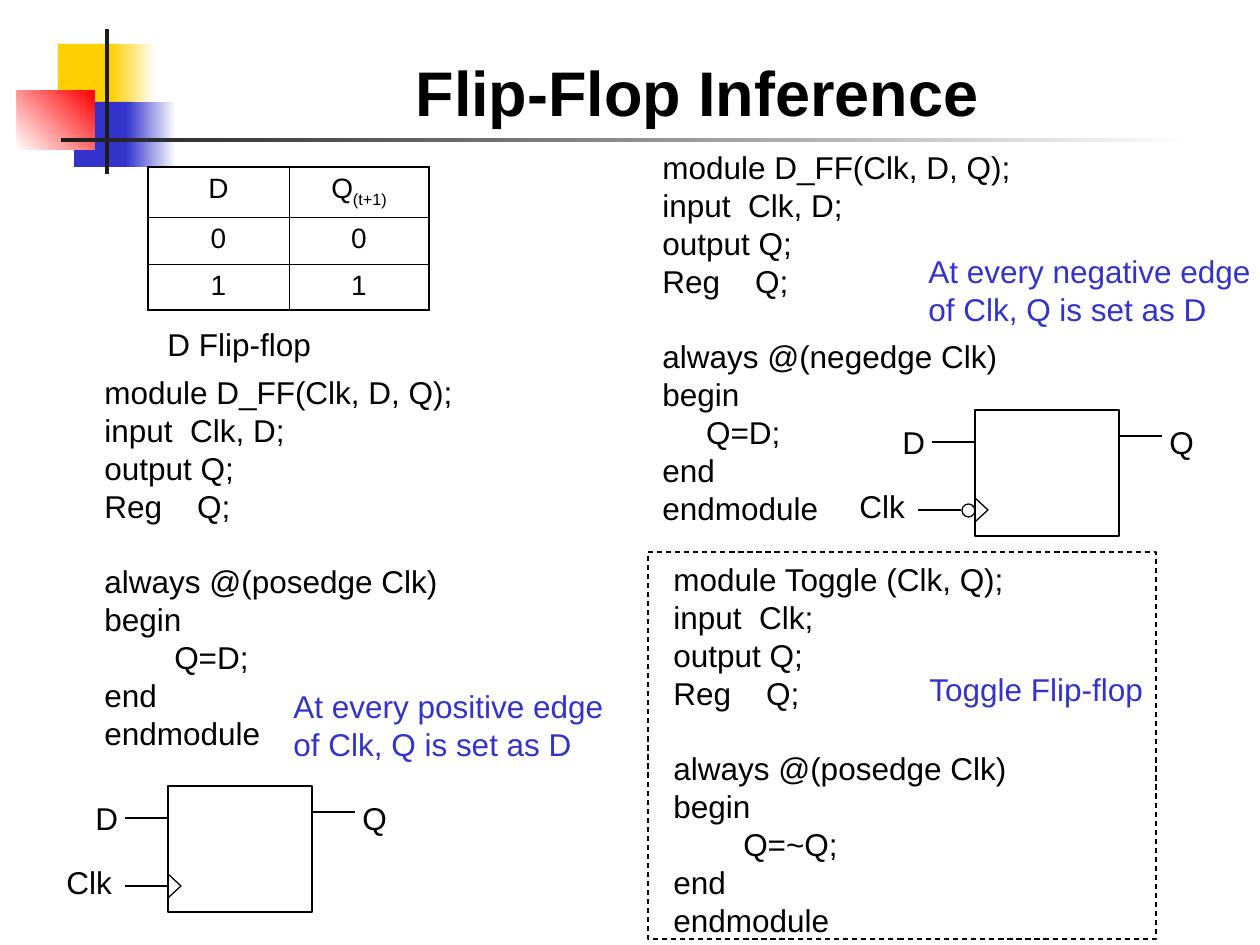
"""Build the Flip-Flop Inference slide."""
from lxml import etree
from pptx import Presentation
from pptx.dml.color import RGBColor
from pptx.enum.dml import MSO_LINE
from pptx.enum.shapes import MSO_CONNECTOR, MSO_SHAPE
from pptx.enum.text import MSO_ANCHOR, MSO_AUTO_SIZE, PP_ALIGN
from pptx.oxml import parse_xml
from pptx.oxml.ns import nsdecls, qn
from pptx.util import Pt

RECT, OVAL = MSO_SHAPE.RECTANGLE, MSO_SHAPE.OVAL
STRAIGHT, DASH = MSO_CONNECTOR.STRAIGHT, MSO_LINE.DASH
TOP, MIDDLE = MSO_ANCHOR.TOP, MSO_ANCHOR.MIDDLE
LEFT, CENTER = PP_ALIGN.LEFT, PP_ALIGN.CENTER
FIXED = MSO_AUTO_SIZE.NONE

BLACK, BLUE, WHITE, GOLD, RED, DARK = (
    "000000", "3333CC", "FFFFFF", "FFCF01", "FF0000", "1C1C1C")
SCALE = 914400 / 126

TITLE = ("Flip-Flop Inference", (403, 47, 606, 88))
DECOR = [
    ((58, 44, 60, 65), (GOLD,), 0),
    ((111, 44, 45, 65), (GOLD, WHITE), 0),
    ((74, 102, 58, 65), (BLUE,), 0),
    ((126, 102, 50, 65), (BLUE, WHITE), 0),
    ((17, 91, 78, 59), (WHITE, RED), 45),
    ((105, 29, 4, 145), (DARK,), 0),
    ((61, 138, 1134, 4), (DARK, WHITE), 0),
]
CODE = [
    ((92, 379), "module D_FF(Clk, D, Q);", "input  Clk, D;", "posedge", "        Q=D;"),
    ((650, 154), "module D_FF(Clk, D, Q);", "input  Clk, D;", "negedge", "     Q=D;"),
    ((661, 566), "module Toggle (Clk, Q);", "input  Clk;", "posedge", "        Q=~Q;"),
]
NOTES = [
    (["D Flip-flop"], (155, 319, 169, 50), BLACK),
    (["At every positive edge", "of Clk, Q is set as D"], (281, 681, 344, 88), BLUE),
    (["Toggle Flip-flop"], (917, 664, 242, 50), BLUE),
    (["At every negative edge", "of Clk, Q is set as D"], (916, 246, 355, 88), BLUE),
]
TRUTH = [["D", "Q"], ["0", "0"], ["1", "1"]]
INDEX = "(t+1)"
COLS, ROWS = (141, 140), (50, 47, 46)
FRAME = (648, 552, 508, 387)
CELLS = [(168, 786, 0), (975, 410, 14)]


def emu(px):
    return round(px * SCALE)


def area(box):
    return [emu(px) for px in box]


def tint(code):
    return RGBColor.from_string(code)


def style(font, size=18, color=BLACK, bold=False):
    form = {"name": "Arial", "size": Pt(size), "bold": bold}
    for key, value in form.items():
        setattr(font, key, value)
    font.color.rgb = tint(color)


def write(frame, lines, size=18, color=BLACK, bold=False, anchor=TOP, gap=None):
    form = {"word_wrap": False, "auto_size": FIXED, "vertical_anchor": anchor}
    for key, value in form.items():
        setattr(frame, key, value)
    pitch = Pt(size * 1.2)
    for row, line in enumerate(lines):
        para = frame.paragraphs[0] if row == 0 else frame.add_paragraph()
        para.alignment, para.line_spacing = LEFT, pitch
        if row == gap:
            para.space_before = pitch
        run = para.add_run()
        run.text = line
        style(run.font, size, color, bold)


def label(shapes, lines, box, **form):
    write(shapes.add_textbox(*area(box)).text_frame, lines, **form)


def edge(shape):
    shape.shadow.inherit = False
    shape.fill.background()
    shape.line.color.rgb = tint(BLACK)
    shape.line.width = Pt(0.75)


def outline(shapes, kind, box):
    shape = shapes.add_shape(kind, *area(box))
    edge(shape)
    return shape


def wire(shapes, left, right, top):
    line = shapes.add_connector(STRAIGHT, *area((left, top, right, top)))
    line.line.color.rgb = tint(BLACK)
    line.line.width = Pt(0.75)
    etree.SubElement(line._element.spPr, qn("a:effectLst"))


def block(shapes, box, colors, angle):
    shape = shapes.add_shape(RECT, *area(box))
    shape.shadow.inherit = False
    shape.line.fill.background()
    if len(colors) == 1:
        shape.fill.solid()
        shape.fill.fore_color.rgb = tint(colors[0])
        return
    shape.fill.gradient()
    shape.fill.gradient_angle = angle
    for stop, color in zip(shape.fill.gradient_stops, colors):
        stop.color.rgb = tint(color)


def latch(shapes, left, top, shift):
    outline(shapes, RECT, (left, top, 144, 126))
    wire(shapes, left - 43, left, top + 32)
    wire(shapes, left - 43 - shift, left - shift, top + 100)
    wire(shapes, left + 144, left + 187, top + 26)
    pen = shapes.build_freeform(emu(left), emu(top + 88))
    points = [(left + 13, top + 100), (left, top + 112)]
    pen.add_line_segments([area(point) for point in points], close=False)
    edge(pen.convert_to_shape())
    if shift:
        outline(shapes, OVAL, (left - 13, top + 94, 13, 13))
    label(shapes, ["D"], (left - 85, top + 7, 50, 50))
    label(shapes, ["Q"], (left + 182, top + 7, 50, 50))
    label(shapes, ["Clk"], (left - 114 - shift, top + 71, 71, 50))


def border(cell, outer):
    props = cell._tc.get_or_add_tcPr()
    for spot, (side, thick) in enumerate(zip("LRTB", outer)):
        width = Pt(1.08 if thick else 0.45)
        props.insert(spot, parse_xml(
            f'<a:ln{side} {nsdecls("a")} w="{width}"><a:solidFill>'
            f'<a:srgbClr val="{BLACK}"/></a:solidFill></a:ln{side}>'))


def truth(shapes):
    box = (148, 167, sum(COLS), sum(ROWS))
    table = shapes.add_table(len(ROWS), len(COLS), *area(box)).table
    table.first_row = table.horz_banding = False
    for col, width in zip(table.columns, COLS):
        col.width = emu(width)
    for y, line in enumerate(TRUTH):
        table.rows[y].height = emu(ROWS[y])
        for x, text in enumerate(line):
            cell = table.cell(y, x)
            cell.fill.background()
            border(cell, (x == 0, x == len(COLS) - 1, y == 0, y == len(ROWS) - 1))
            para = cell.text_frame.paragraphs[0]
            para.alignment = CENTER
            for part in [text, INDEX] if text == "Q" else [text]:
                run = para.add_run()
                run.text = part
                style(run.font, 16)
                if part == INDEX:
                    run._r.get_or_add_rPr().set("baseline", "-25000")


def main():
    deck = Presentation()
    deck.slide_width, deck.slide_height = emu(1260), emu(945)
    slide = deck.slides.add_slide(deck.slide_layouts[5])
    shapes = slide.shapes
    for item in DECOR:
        block(shapes, *item)
    text, box = TITLE
    title = shapes.title
    title.left, title.top, title.width, title.height = area(box)
    write(title.text_frame, [text], size=36, bold=True)
    truth(shapes)
    for spot, head, ports, clock, body in CODE:
        lines = [head, ports, "output Q;", "Reg    Q;", f"always @({clock} Clk)",
                 "begin", body, "end", "endmodule"]
        label(shapes, lines, (*spot, 377, 367), anchor=MIDDLE, gap=4)
    for lines, box, color in NOTES:
        label(shapes, lines, box, color=color)
    for cell in CELLS:
        latch(shapes, *cell)
    outline(shapes, RECT, FRAME).line.dash_style = DASH
    deck.save("out.pptx")


if __name__ == "__main__":
    main()
